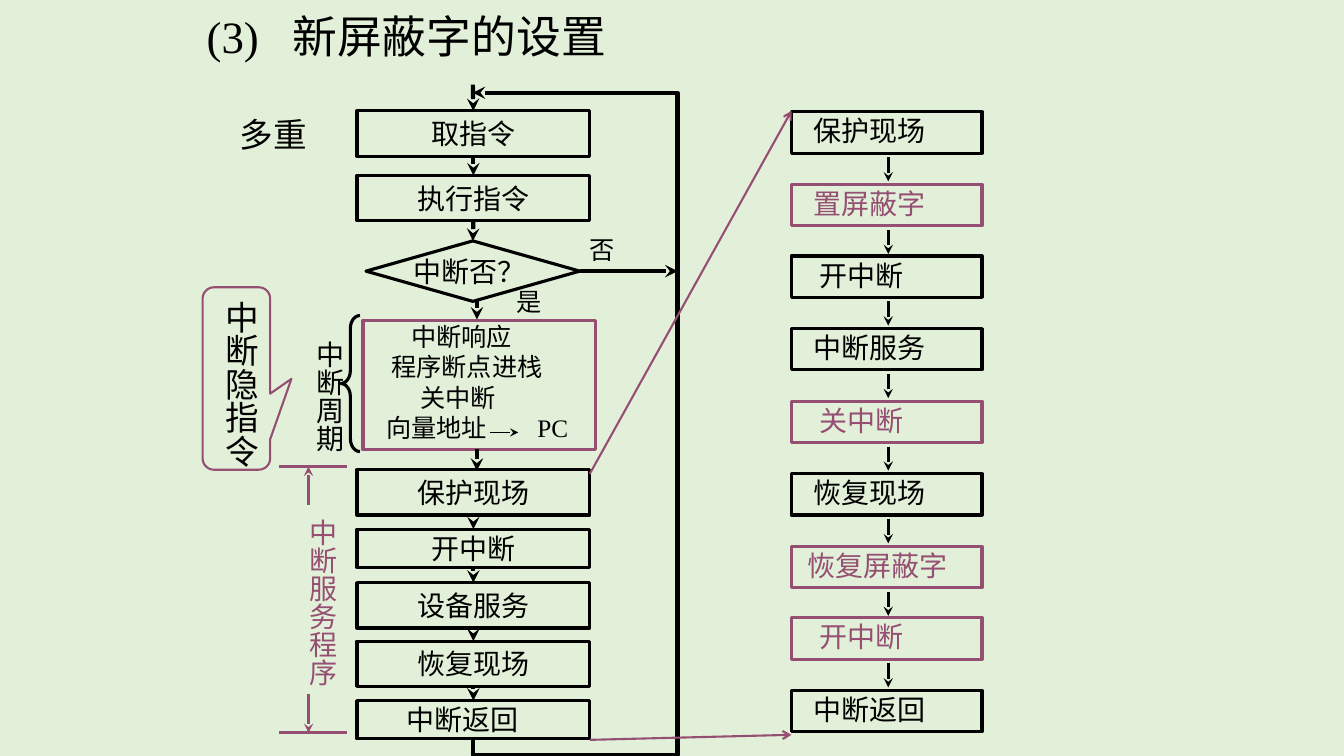
from lxml.etree import SubElement
from pptx import Presentation
from pptx.dml.color import RGBColor
from pptx.enum.shapes import MSO_CONNECTOR, MSO_SHAPE
from pptx.enum.text import MSO_ANCHOR, PP_ALIGN
from pptx.oxml.ns import qn
from pptx.util import Pt

PX = 9144  # EMU per px, 100 px to the inch
BLACK = RGBColor(0x00, 0x00, 0x00)
PLUM = RGBColor(0x95, 0x4F, 0x72)
MINT = RGBColor(0xE2, 0xF0, 0xD9)
SERIF, SANS = "Times New Roman", "Noto Sans CJK SC"
RECT = MSO_SHAPE.RECTANGLE

prs = Presentation()
prs.slide_width, prs.slide_height = 1333 * PX, 750 * PX
s = prs.slides.add_slide(prs.slide_layouts[6])
s.background.fill.solid()
s.background.fill.fore_color.rgb = MINT


def put(text, x, y, w, h, kind=None, line=BLACK, weight=2.25, size=20, color=BLACK,
        font=SERIF, align=PP_ALIGN.LEFT, anchor=MSO_ANCHOR.TOP, ins=(10, 5, 10, 5),
        wrap=False, vertical=False, indents=(), tab=None):
    """Add a text box, or an outlined shape of the given kind, with its text."""
    box = [v * PX for v in (x, y, w, h)]
    if kind is None:
        sp = s.shapes.add_textbox(*box)
    else:
        sp = s.shapes.add_shape(kind, *box)
        sp.shadow.inherit = False
        sp.fill.background()
        sp.line.color.rgb, sp.line.width = line, Pt(weight)
    tf = sp.text_frame
    tf.word_wrap, tf.vertical_anchor = wrap, anchor
    tf.margin_left, tf.margin_top, tf.margin_right, tf.margin_bottom = [v * PX for v in ins]
    if vertical:
        tf._txBody.bodyPr.set("vert", "eaVert")
    for i, row in enumerate(text.split("\n") if text else []):
        p = tf.paragraphs[0] if i == 0 else tf.add_paragraph()
        p.alignment = align
        pPr = p._p.get_or_add_pPr()
        if indents:
            pPr.set("marL", str(indents[i] * PX))
            pPr.set("indent", "0")
        if tab and "\t" in row:
            SubElement(SubElement(pPr, qn("a:tabLst")), qn("a:tab"), pos=str(tab * PX), algn="l")
        r = p.add_run()
        r.text = row
        r.font.name, r.font.size, r.font.color.rgb = font, Pt(size), color
    return sp


def link(start, end, color=BLACK, weight=3.0, head="stealth", begin=None, finish=None):
    """Add a straight line; begin and finish are (shape, side) to join."""
    c = s.shapes.add_connector(MSO_CONNECTOR.STRAIGHT, *[v * PX for v in (*start, *end)])
    if begin:
        c.begin_connect(*begin)
    if finish:
        c.end_connect(*finish)
    c.line.color.rgb, c.line.width = color, Pt(weight)
    if head:
        SubElement(c.line._get_or_add_ln(), qn("a:tailEnd"), type=head)
    SubElement(c._element.spPr, qn("a:effectLst"))


# Title and labels
put("(3)\t新屏蔽字的设置", 205, 12, 780, 47, size=32, anchor=MSO_ANCHOR.MIDDLE,
    ins=(0, 0, 0, 0), tab=85)
put("多重", 228, 108, 116, 51, size=24, wrap=True)
put("否", 575, 228, 46, 40, size=18)
put("是", 502, 279, 46, 40, size=18)

# Main flow: text, left, top, width, height, right inset, shape
STEPS = [
    ("取指令", 354, 110, 231, 45, 10, RECT),
    ("执行指令", 354, 174, 231, 45, 10, RECT),
    ("中断否？", 363, 239, 212, 60, 16, MSO_SHAPE.DIAMOND),
    ("保护现场", 354, 466, 231, 45, 10, RECT),
    ("开中断", 354, 525, 231, 38, 10, RECT),
    ("设备服务", 354, 578, 231, 45, 10, RECT),
    ("恢复现场", 354, 636, 231, 45, 10, RECT),
    ("中断返回", 354, 695, 231, 38, 32, RECT),
]
steps = [put(text, *box, kind=kind, align=PP_ALIGN.CENTER, anchor=MSO_ANCHOR.MIDDLE,
             ins=(10, 5, right, 5))
         for text, *box, right, kind in STEPS]
decision = steps[2]
for upper, lower in zip(steps, steps[1:]):
    if upper is not decision:
        link((469, 0), (469, 0), begin=(upper, 2), finish=(lower, 0))
link((469, 84), (469, 110), finish=(steps[0], 0))

# Interrupt cycle
put("中断响应\n程序断点进栈\n关中断\n向量地址\tPC", 360, 318, 231, 128, RECT, PLUM, size=18,
    ins=(23, 1, 0, 0), indents=(25, 5, 34, 0), tab=140)
link((486, 429), (514, 429), weight=0.75)
link((473, 298), (473, 317))
link((473, 445), (473, 467))
put("中断周期", 294, 328, 54, 121, vertical=True)
brace = put("", 338, 313, 19, 135, MSO_SHAPE.LEFT_BRACE)
brace.adjustments[0] = 0.669

# Hidden instruction callout
callout = put("中断隐指令", 201, 285, 67, 181, MSO_SHAPE.ROUNDED_RECTANGULAR_CALLOUT, PLUM, 1.5,
              size=24, ins=(14, 5, 6, 5), vertical=True)
for i, value in enumerate((0.815, 0.002, 0.167)):
    callout.adjustments[i] = value

# Extent of the service routine
put("中断服务程序", 287, 505, 54, 176, color=PLUM, vertical=True)
for edge, tail in ((463, 501), (727, 689)):
    link((344, edge), (277, edge), PLUM, 2.25, head=None)
    link((306, tail), (306, edge), PLUM, 2.25)

# Return loop to the first step
fb = s.shapes.build_freeform(469, 733, scale=PX)
fb.add_line_segments([(469, 749), (672, 749), (672, 92), (469, 92)], close=False)
loop = fb.convert_to_shape()
loop.shadow.inherit = False
loop.fill.background()
loop.line.color.rgb, loop.line.width = BLACK, Pt(3)
SubElement(loop.line._get_or_add_ln(), qn("a:tailEnd"), type="stealth")
link((575, 269), (672, 269), begin=(decision, 3))

# Detailed service routine; plum marks the steps about masking
DETAILS = [
    ("保护现场", BLACK), ("置屏蔽字", PLUM), ("开中断", BLACK),
    ("中断服务", BLACK), ("关中断", PLUM), ("恢复现场", BLACK),
    ("恢复屏蔽字", PLUM), ("开中断", PLUM), ("中断返回", BLACK),
]
for i, (text, color) in enumerate(DETAILS):
    y = round(111 + 71.75 * i)
    put(text, 785, y, 189, 41, RECT, color, color=color, font=SANS,
        ins=(46 - 6 * len(text), 2, 0, 5))
    if i < len(DETAILS) - 1:
        link((881, y + 45), (881, y + 69), weight=2.25)

# Expansion of the service routine
link((585, 470), (785, 110), PLUM, 1.5, "arrow")
link((585, 734), (785, 729), PLUM, 1.5, "arrow")

prs.save("out.pptx")
